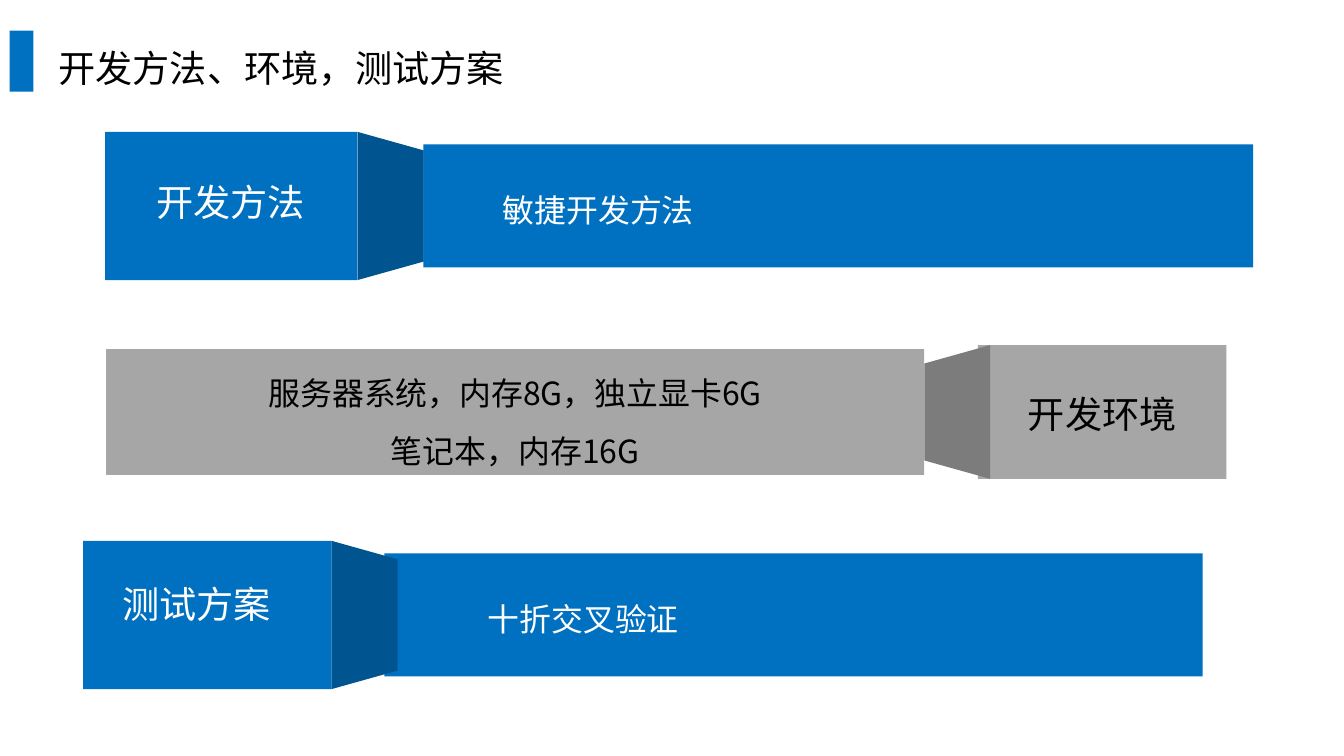
from dataclasses import dataclass

from lxml.etree import SubElement
from pptx import Presentation
from pptx.dml.color import RGBColor
from pptx.enum.shapes import MSO_SHAPE as Shape
from pptx.enum.text import MSO_ANCHOR as Anchor, PP_ALIGN as Align
from pptx.oxml.ns import qn
from pptx.util import Inches, Pt

SLIDE_W, SLIDE_H = Inches(14.06), Inches(7.91)


@dataclass(frozen=True)
class Theme:
    blue: str = "0070C0"
    blue_fold: str = "005490"
    gray: str = "A6A6A6"
    gray_fold: str = "7C7C7C"
    white: str = "FFFFFF"
    black: str = "000000"
    latin: str = "Noto Sans CJK SC"
    title_latin: str = "Arial"
    east_asian: str = "Noto Sans CJK SC"
    heading: int = 28
    heading_line: int = 36
    body: int = 24
    body_line: float = 43.6


@dataclass(frozen=True)
class Box:
    """A rectangle in percent of the slide's width and height."""
    left: float
    top: float
    width: float
    height: float

    def emu(self):
        return (across(self.left), down(self.top),
                across(self.width), down(self.height))


@dataclass(frozen=True)
class Band:
    box: Box
    heading: str
    details: tuple
    head_width: float
    bar_width: float
    bar_height: float  # share of the band's height
    fill: str
    fold: str
    ink: str
    head_insets: tuple = (0, 0, 0, 0)
    bar_insets: tuple = (0, 0, 0, 0)
    details_align: Align = Align.LEFT
    head_first: bool = True


THEME = Theme()


def across(percent):
    return round(SLIDE_W * percent / 100)


def down(percent):
    return round(SLIDE_H * percent / 100)


def add_block(slide, place, color, kind=Shape.RECTANGLE):
    block = slide.shapes.add_shape(kind, *place)
    block.shadow.inherit = False
    block.fill.solid()
    block.fill.fore_color.rgb = RGBColor.from_string(color)
    block.line.fill.background()
    return block


def write(frame, lines, size, line_height, color, align,
          insets=(0, 0, 0, 0), anchor=Anchor.TOP, latin=THEME.latin):
    """Fill a text frame; insets are left, top, right, bottom in percent."""
    frame.vertical_anchor = anchor
    frame.margin_left, frame.margin_right = across(insets[0]), across(insets[2])
    frame.margin_top, frame.margin_bottom = down(insets[1]), down(insets[3])
    for index, line in enumerate(lines):
        paragraph = frame.paragraphs[0] if index == 0 else frame.add_paragraph()
        paragraph.alignment = align
        paragraph.line_spacing = Pt(line_height)
        run = paragraph.add_run()
        run.text = line
        run.font.size = Pt(size)
        run.font.color.rgb = RGBColor.from_string(color)
        run.font.name = latin
        SubElement(run.font._element, qn("a:ea"), typeface=THEME.east_asian)


def add_title(slide, box, title):
    left, top, width, height = box.emu()
    marker_width = across(1.78)
    add_block(slide, (left, top, marker_width, height), THEME.blue)
    text_top = top + down(0.89)
    caption = slide.shapes.add_textbox(
        left + across(2.85), text_top,
        width - across(2.85), top + height - text_top)
    caption.text_frame.word_wrap = False
    write(caption.text_frame, [title], THEME.heading, THEME.heading_line,
          THEME.black, Align.RIGHT, (0.75, 0.63, 0.75, 0.63),
          latin=THEME.title_latin)


def add_band(slide, band):
    """Heading block and detail bar at opposite ends, joined by a fold."""
    left, top, width, height = band.box.emu()
    head_width, bar_width = across(band.head_width), across(band.bar_width)
    bar_height = round(height * band.bar_height)
    bar_top = top + (height - bar_height) // 2
    right = left + width
    if band.head_first:
        head_left, bar_left = left, right - bar_width
        fold_left, turn = left + head_width, 90
    else:
        head_left, bar_left = right - head_width, left
        fold_left, turn = left + bar_width, 270

    head = add_block(slide, (head_left, top, head_width, height), band.fill)
    head.text_frame.word_wrap = True
    write(head.text_frame, [band.heading], THEME.heading, THEME.heading_line,
          band.ink, Align.CENTER, band.head_insets, Anchor.MIDDLE)

    bar = add_block(slide, (bar_left, bar_top, bar_width, bar_height), band.fill)
    bar.text_frame.word_wrap = True
    write(bar.text_frame, band.details, THEME.body, THEME.body_line,
          band.ink, band.details_align, band.bar_insets)

    fold_width = across(4.91)
    shift = (height - fold_width) // 2  # the fold is turned about its centre
    fold = add_block(slide, (fold_left - shift, top + shift, height, fold_width),
                     band.fold, Shape.TRAPEZOID)
    fold.adjustments[0] = 0.28
    fold.rotation = turn


BANDS = (
    Band(Box(7.82, 17.45, 85.42, 19.6), "开发方法", ("敏捷开发方法",),
         18.78, 61.74, 0.83, THEME.blue, THEME.blue_fold, THEME.white,
         head_insets=(0, 0, 0.14, 1.52), bar_insets=(5.9, 3.54, 0, 0)),
    Band(Box(7.89, 45.64, 83.36, 17.7), "开发环境",
         ("服务器系统，内存8G，独立显卡6G", "笔记本，内存16G"),
         18.49, 60.88, 0.94, THEME.gray, THEME.gray_fold, THEME.black,
         bar_insets=(0.71, 0.63, 0.71, 0.63),
         details_align=Align.CENTER, head_first=False),
    Band(Box(6.19, 71.55, 83.29, 19.6), "测试方案", ("十折交叉验证",),
         18.49, 60.88, 0.83, THEME.blue, THEME.blue_fold, THEME.white,
         head_insets=(0, 0, 1.64, 3.54), bar_insets=(7.68, 3.54, 0, 0)),
)


def main():
    deck = Presentation()
    deck.slide_width, deck.slide_height = SLIDE_W, SLIDE_H
    slide = deck.slides.add_slide(deck.slide_layouts[6])
    add_title(slide, Box(0.71, 4.05, 37.55, 8.09), "开发方法、环境，测试方案")
    for band in BANDS:
        add_band(slide, band)
    deck.save("out.pptx")


if __name__ == "__main__":
    main()
